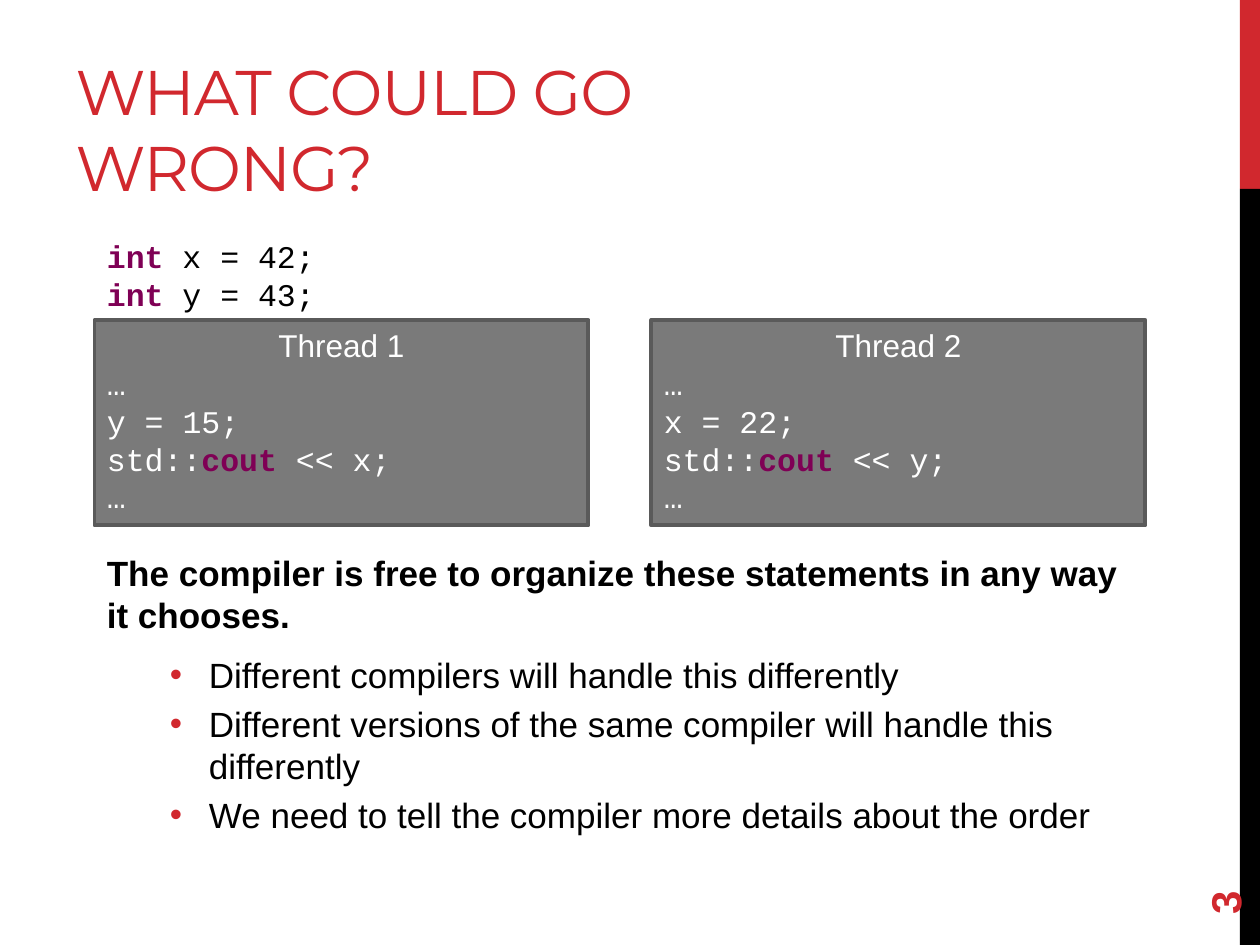
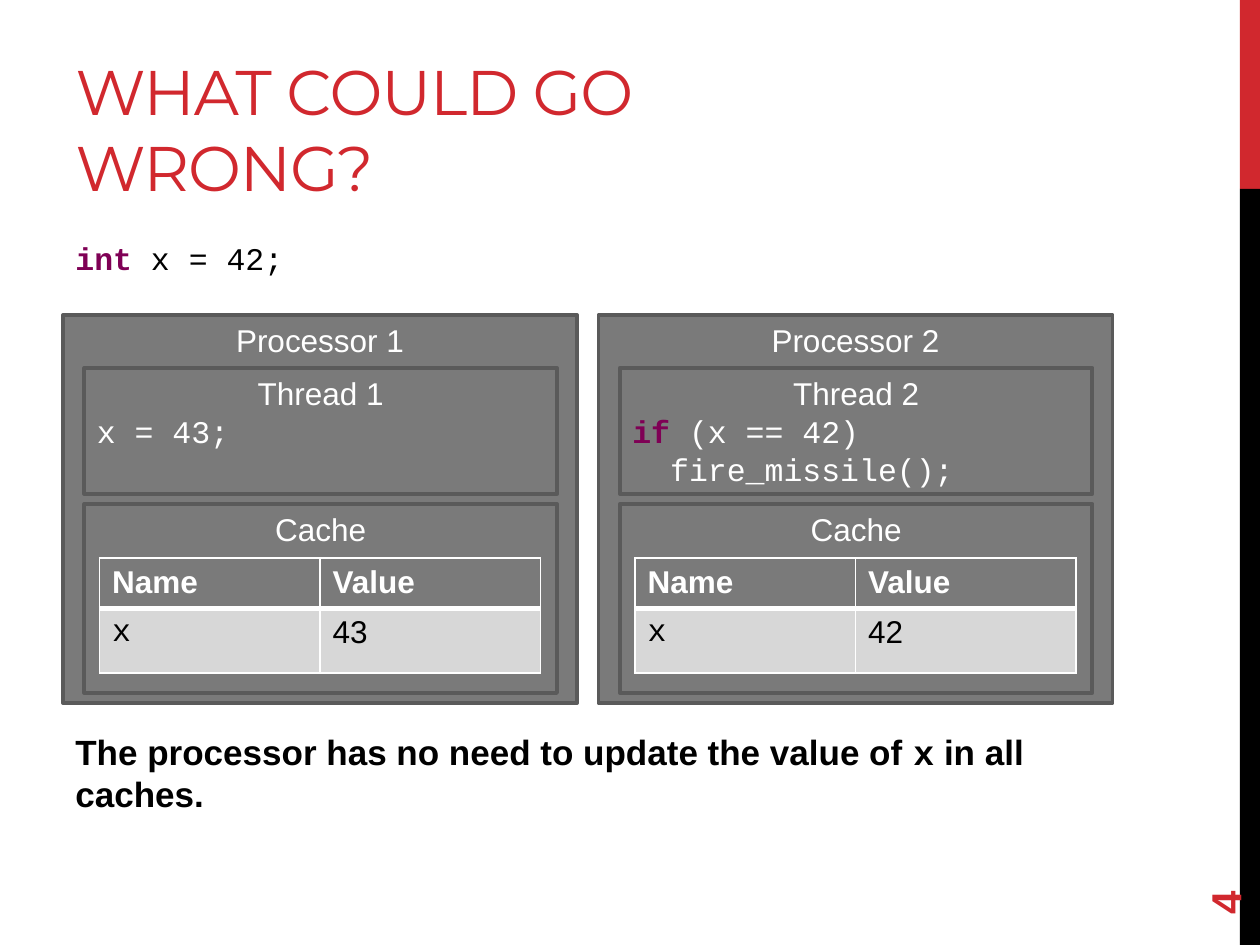
import pptx
import pptx.util
import pptx.dml.color
import pptx.enum.shapes
import pptx.enum.text
import pptx.oxml
import pptx.oxml.ns

Inches = pptx.util.Inches
Pt = pptx.util.Pt
Align = pptx.enum.text.PP_ALIGN
Anchor = pptx.enum.text.MSO_ANCHOR

HUES = {
    "red": "D1282E", "black": "000000", "white": "FFFFFF", "plum": "7F0055",
    "gray": "7A7A7A", "edge": "5A5A5A", "pale": "D7D7D7",
}
SANS, MONO, HEAD = "Arial", "Courier New", "Montserrat"
STYLES = {
    "title": (HEAD, 36, "red", False),
    "page": (SANS, 24, "red", True),
    "label": (SANS, 18, "white", False),
    "head": (SANS, 18, "white", True),
    "value": (SANS, 18, "black", False),
    "code": (MONO, 18, "black", False),
    "light": (MONO, 18, "white", False),
    "key": (MONO, 18, "plum", True),
    "bold": (SANS, 20, "black", True),
    "name": (MONO, 20, "black", True),
    "point": (SANS, 20, "black", False),
}


def hue(name):
    return pptx.dml.color.RGBColor.from_string(HUES[name])


def place(shape, box):
    shape.left, shape.top, shape.width, shape.height = map(Inches, box)


def add_run(para, text, style):
    face, size, tint, bold = STYLES[style]
    run = para.add_run()
    run.text = text
    run.font.name, run.font.size, run.font.bold = face, Pt(size), bold
    run.font.color.rgb = hue(tint)
    return run


def write(frame, lines):
    frame.word_wrap = True
    paras = []
    for i, line in enumerate(lines):
        para = frame.add_paragraph() if i else frame.paragraphs[0]
        para.alignment = Align.LEFT
        for text, style in line:
            add_run(para, text, style)
        paras.append(para)
    return paras


def add_text(slide, box, lines):
    shape = slide.shapes.add_textbox(*map(Inches, box))
    return shape, write(shape.text_frame, lines)


def add_rect(slide, box, fill, edge=None):
    kind = pptx.enum.shapes.MSO_SHAPE.RECTANGLE
    shape = slide.shapes.add_shape(kind, *map(Inches, box))
    shape.shadow.inherit = False
    shape.fill.solid()
    shape.fill.fore_color.rgb = hue(fill)
    if edge:
        shape.line.color.rgb = hue(edge)
        shape.line.width = Pt(2.25)
    else:
        shape.line.fill.background()
    return shape


def add_panel(slide, box, label, code=()):
    frame = add_rect(slide, box, "gray", "edge").text_frame
    frame.vertical_anchor = Anchor.TOP
    paras = write(frame, [[(label, "label")], *code])
    paras[0].alignment = Align.CENTER


def add_bands(slide):
    tree = slide.slide_layout.shapes.element
    for top, high, fill in ((0, 1.5, "red"), (1.5, 6, "black")):
        band = add_rect(slide, (9.84, top, 0.16, high), fill)
        tree.append(band.element)


def add_slide(deck, page):
    slide = deck.slides.add_slide(deck.slide_layouts[5])
    title = slide.shapes.title
    place(title, (0.5, 0.17, 6.33, 1.5))
    frame = title.text_frame
    frame.auto_size = pptx.enum.text.MSO_AUTO_SIZE.NONE
    frame.vertical_anchor = Anchor.BOTTOM
    para = write(frame, [[("WHAT COULD GO WRONG?", "title")]])[0]
    para.runs[0].font.element.set("spc", "-60") if hasattr(
        para.runs[0].font, "element") else para.runs[0]._r.get_or_add_rPr().set("spc", "-60")
    shape, _ = add_text(slide, (9, 6.44, 1.44, 0.4), [[(str(page), "page")]])
    shape.rotation = 270
    shape.text_frame.vertical_anchor = Anchor.MIDDLE
    return slide


def add_body(slide, box, lead, points=()):
    lines = [lead] + [[(text, "point")] for text in points]
    _, paras = add_text(slide, box, lines)
    for para in paras:
        para.space_before = Pt(4)
    paras[0].space_after = Pt(6)
    for para in paras[1:]:
        add_bullet(para)


def add_bullet(para):
    props = para._p.get_or_add_pPr()
    props.set("marL", str(Inches(0.81)))
    props.set("indent", str(Inches(-0.31)))
    space = pptx.oxml.ns.nsdecls("a")
    for xml in (
        f'<a:buClr {space}><a:srgbClr val="{HUES["red"]}"/></a:buClr>',
        f'<a:buFont {space} typeface="{SANS}"/>',
        f'<a:buChar {space} char="•"/>',
    ):
        props.append(pptx.oxml.parse_xml(xml))


def set_edges(cell, widths):
    props = cell._tc.get_or_add_tcPr()
    space = pptx.oxml.ns.nsdecls("a")
    for i, (side, width) in enumerate(zip("LRTB", widths)):
        props.insert(i, pptx.oxml.parse_xml(
            f'<a:ln{side} {space} w="{Pt(width)}"><a:solidFill>'
            f'<a:srgbClr val="{HUES["white"]}"/></a:solidFill></a:ln{side}>'))


def add_cache(slide, left, top, value):
    rows = (
        ("gray", 0.4, (1, 1, 1, 3), (("Name", "head"), ("Value", "head"))),
        ("pale", 0.51, (1, 1, 3, 1), (("x", "code"), (value, "value"))),
    )
    box = map(Inches, (left, top, 3.5, 0.91))
    table = slide.shapes.add_table(2, 2, *box).table
    for r, (fill, high, edges, texts) in enumerate(rows):
        table.rows[r].height = Inches(high)
        for c, text in enumerate(texts):
            cell = table.cell(r, c)
            cell.fill.solid()
            cell.fill.fore_color.rgb = hue(fill)
            write(cell.text_frame, [[text]])
            set_edges(cell, edges)


def declare(name, value):
    return [("int", "key"), (f" {name} = {value};", "code")]


def order_slide(deck):
    slide = add_slide(deck, 3)
    add_bands(slide)
    dots = [("…", "light")]
    threads = (("y = 15;", "x"), ("x = 22;", "y"))
    for i, (store, shown) in enumerate(threads):
        show = [("std::", "light"), ("cout", "key"), (f" << {shown};", "light")]
        code = [dots, [(store, "light")], show, dots]
        add_panel(slide, (0.75 + i * 4.42, 2.54, 3.92, 1.63), f"Thread {i + 1}", code)
    add_text(slide, (0.75, 1.83, 8.33, 0.71), [declare("x", 42), declare("y", 43)])
    lead = "The compiler is free to organize these statements in any way it chooses."
    add_body(slide, (0.75, 4.33, 8.33, 2.37), [(lead, "bold")], (
        "Different compilers will handle this differently",
        "Different versions of the same compiler will handle this differently",
        "We need to tell the compiler more details about the order",
    ))


def cache_slide(deck):
    slide = add_slide(deck, 4)
    add_body(slide, (0.5, 5.75, 8.33, 0.95), [
        ("The processor has no need to update the value of ", "bold"),
        ("x", "name"), (" in all caches.", "bold"),
    ])
    add_text(slide, (0.5, 1.85, 8.33, 0.4), [declare("x", 42)])
    cores = (
        ([[("x = 43;", "light")]], "43"),
        ([[("if", "key"), (" (x == 42)", "light")],
          [("  fire_missile();", "light")]], "42"),
    )
    for i, (code, value) in enumerate(cores):
        left = 0.5 + i * 4.25
        add_panel(slide, (left, 2.5, 4.08, 3.08), f"Processor {i + 1}")
        add_panel(slide, (left + 0.17, 2.92, 3.75, 1), f"Thread {i + 1}", code)
        add_panel(slide, (left + 0.17, 4, 3.75, 1.5), "Cache")
        add_cache(slide, left + 0.29, 4.43, value)


def main():
    deck = pptx.Presentation()
    deck.slide_width, deck.slide_height = Inches(10), Inches(7.5)
    order_slide(deck)
    cache_slide(deck)
    deck.save("out.pptx")


main()
